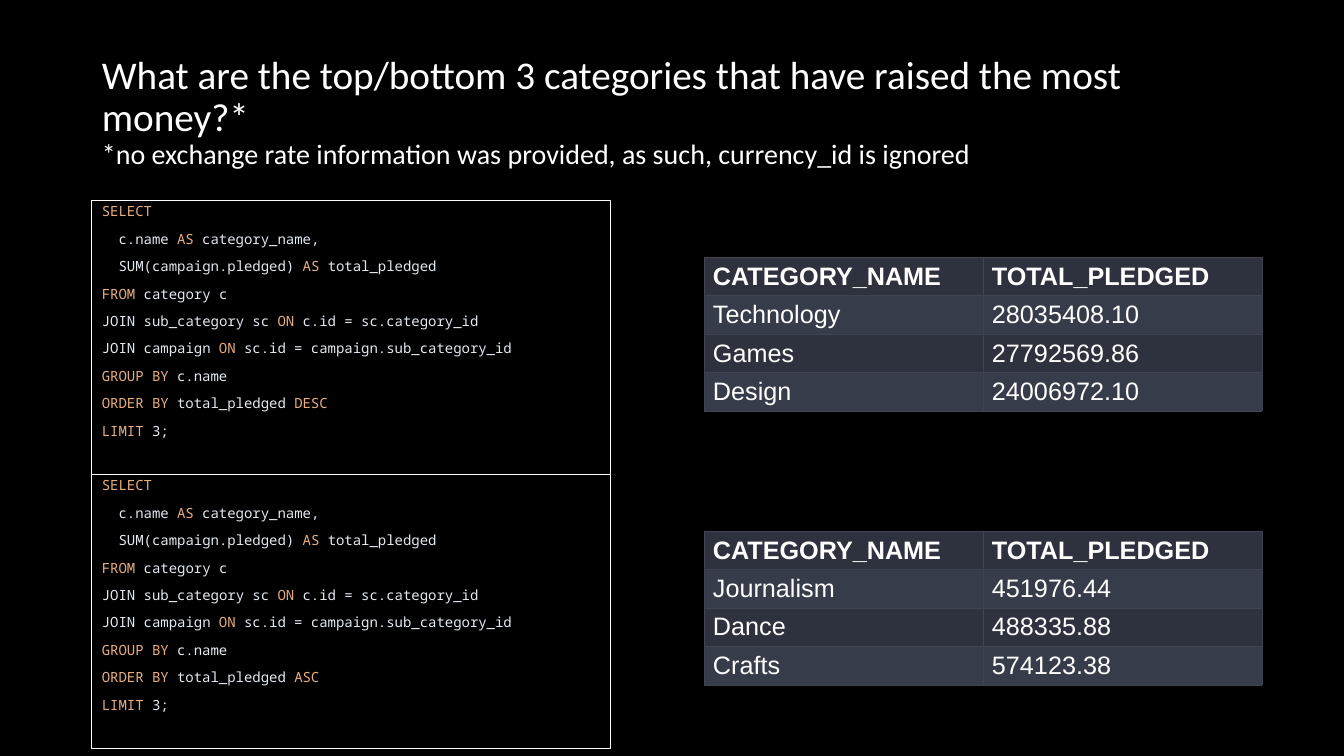
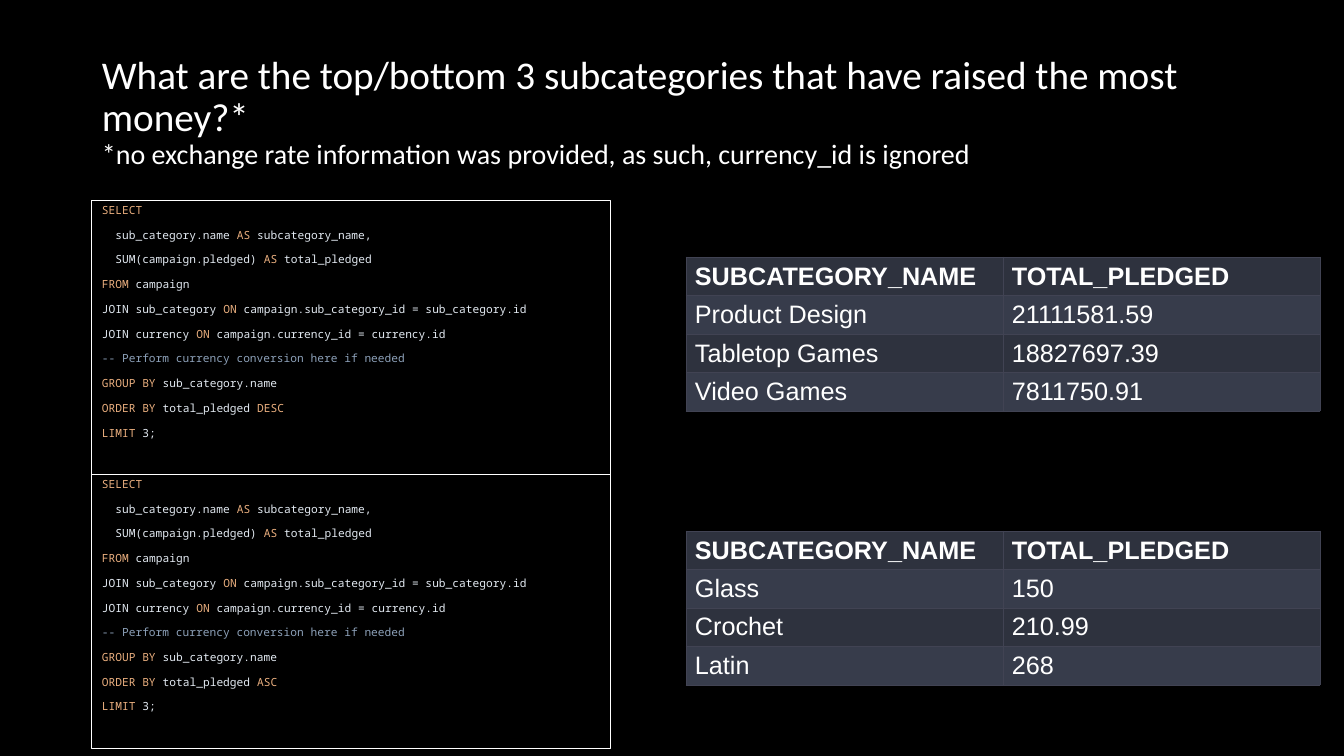
from itertools import groupby

from lxml.etree import SubElement
from pptx import Presentation
from pptx.dml.color import RGBColor
from pptx.enum.shapes import MSO_SHAPE
from pptx.enum.text import MSO_ANCHOR, PP_ALIGN
from pptx.oxml.ns import qn
from pptx.util import Pt

EMU_PER_PX = 914400 / 100.8
BLACK, WHITE = "000000", "FFFFFF"
KEYWORD, CODE, COMMENT = "E9AE7E", "E3EAF2", "8DA1B9"
ROW_FILLS = ["2E323E", "373C4B"]
BORDER = "414353"
KEYWORDS = {"SELECT", "AS", "FROM", "ON", "GROUP", "ORDER", "BY", "ASC", "DESC", "LIMIT"}
LEFT, CODE_TOP, TABLE_TOP, PITCH = 92, 201, 257, 274
NOTE = "*no exchange rate information was provided, as such, currency_id is ignored"

CATEGORY_SQL = """SELECT
\u00a0 c.name AS category_name,
\u00a0 SUM(campaign.pledged) AS total_pledged
FROM category c
JOIN sub_category sc ON c.id = sc.category_id
JOIN campaign ON sc.id = campaign.sub_category_id
GROUP BY c.name
ORDER BY total_pledged {order}
LIMIT 3;"""

SUBCATEGORY_SQL = """SELECT
\u00a0 sub_category.name AS subcategory_name,
\u00a0 SUM(campaign.pledged) AS total_pledged
FROM campaign
JOIN sub_category ON campaign.sub_category_id = sub_category.id
JOIN currency ON campaign.currency_id = currency.id
-- Perform currency conversion here if needed
GROUP BY sub_category.name
ORDER BY total_pledged {order}
LIMIT 3;"""

# title subject, query, code size, table left, column width, top rows, bottom rows
SLIDES = [
    ("categories", CATEGORY_SQL, 10, 704, 279,
     [("CATEGORY_NAME", "TOTAL_PLEDGED"), ("Technology", "28035408.10"),
      ("Games", "27792569.86"), ("Design", "24006972.10")],
     [("CATEGORY_NAME", "TOTAL_PLEDGED"), ("Journalism", "451976.44"),
      ("Dance", "488335.88"), ("Crafts", "574123.38")]),
    ("subcategories", SUBCATEGORY_SQL, 8, 686, 317,
     [("SUBCATEGORY_NAME", "TOTAL_PLEDGED"), ("Product Design", "21111581.59"),
      ("Tabletop Games", "18827697.39"), ("Video Games", "7811750.91")],
     [("SUBCATEGORY_NAME", "TOTAL_PLEDGED"), ("Glass", "150"),
      ("Crochet", "210.99"), ("Latin", "268")]),
]


def px(*lengths):
    """Turn pixel lengths into a list of EMU lengths."""
    return [round(n * EMU_PER_PX) for n in lengths]


def rgb(value):
    """Turn a hex string into a colour."""
    return RGBColor.from_string(value)


prs = Presentation()
prs.slide_width, prs.slide_height = px(1344, 756)

for subject, sql, code_size, table_left, col_width, top_rows, bottom_rows in SLIDES:
    slide = prs.slides.add_slide(prs.slide_layouts[6])
    slide.background.fill.solid()
    slide.background.fill.fore_color.rgb = rgb(BLACK)

    # Title with a smaller note on its own line
    tf = slide.shapes.add_textbox(*px(LEFT, 40, 1159, 146)).text_frame
    tf.word_wrap = True
    tf.vertical_anchor = MSO_ANCHOR.MIDDLE
    p = tf.paragraphs[0]
    p.line_spacing = 0.9
    p.font.name = "Calibri"
    p.font.color.rgb = rgb(WHITE)
    r = p.add_run()
    r.text = f"What are the top/bottom 3 {subject} that have raised the most money?*"
    r.font.size = Pt(28)
    p.add_line_break()
    r = p.add_run()
    r.text = NOTE
    r.font.size = Pt(20)

    for i, (order, rows) in enumerate([("DESC", top_rows), ("ASC", bottom_rows)]):
        # Query box with coloured keywords
        sp = slide.shapes.add_shape(
            MSO_SHAPE.RECTANGLE, *px(LEFT, CODE_TOP + i * PITCH, 519, PITCH))
        sp.shadow.inherit = False
        sp.fill.background()
        sp.line.color.rgb = rgb(WHITE)
        sp.line.width = Pt(0.75)
        tf = sp.text_frame
        tf.word_wrap = True
        tf.vertical_anchor = MSO_ANCHOR.TOP
        for n, line in enumerate(sql.format(order=order).split("\n")):
            p = tf.add_paragraph() if n else tf.paragraphs[0]
            p.alignment = PP_ALIGN.LEFT
            p.line_spacing = 0.8
            p.space_before = Pt(10)
            p.font.size = Pt(code_size)
            p.font.name = "Noto Sans Mono"
            plain = COMMENT if line.startswith("--") else CODE
            words = [word + " " for word in line.split(" ")]
            words[-1] = words[-1].rstrip()
            for is_keyword, group in groupby(words, lambda w: w.strip() in KEYWORDS):
                r = p.add_run()
                r.text = "".join(group)
                r.font.color.rgb = rgb(KEYWORD if is_keyword else plain)

        # Result table
        table = slide.shapes.add_table(
            len(rows), 2, *px(table_left, TABLE_TOP + i * PITCH, 2 * col_width, 154)).table
        table.first_row = table.horz_banding = False
        for row, values in enumerate(rows):
            for col, value in enumerate(values):
                cell = table.cell(row, col)
                cell.text = value
                cell.vertical_anchor = MSO_ANCHOR.MIDDLE
                cell.margin_left, cell.margin_right = px(9, 9)
                cell.margin_top, cell.margin_bottom = px(4, 4)
                font = cell.text_frame.paragraphs[0].font
                font.name = "Arial"
                font.size = Pt(18)
                font.bold = row == 0
                font.color.rgb = rgb(WHITE)
                tc_pr = cell._tc.get_or_add_tcPr()
                for side in ("lnL", "lnR", "lnT", "lnB"):
                    ln = SubElement(tc_pr, qn(f"a:{side}"), w=str(Pt(0.5)))
                    fill = SubElement(ln, qn("a:solidFill"))
                    SubElement(fill, qn("a:srgbClr"), val=BORDER)
                cell.fill.solid()
                cell.fill.fore_color.rgb = rgb(ROW_FILLS[row % 2])

prs.save("out.pptx")
